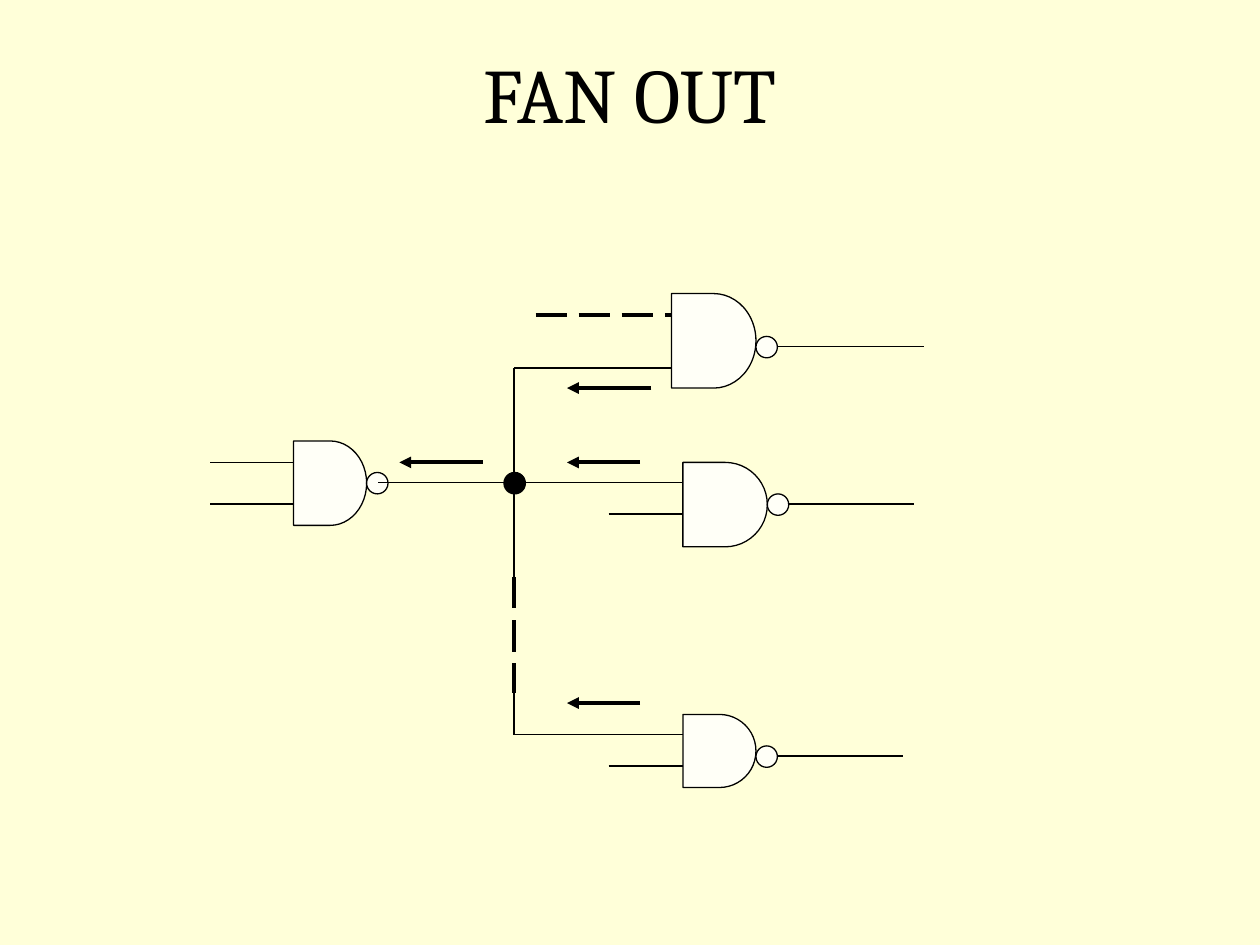
from lxml import etree
from pptx import Presentation
from pptx.dml.color import RGBColor
from pptx.enum import dml, shapes, text
from pptx.oxml import ns
from pptx.util import Inches, Pt

CREAM = RGBColor(0xFF, 0xFF, 0xD9)
IVORY = RGBColor(0xFF, 0xFF, 0xF7)
BLACK = RGBColor(0, 0, 0)
THIN, THICK = 0.75, 2.25
GATE = shapes.MSO_SHAPE.FLOWCHART_DELAY
OVAL = shapes.MSO_SHAPE.OVAL
BALL = 0.17


def write(frame, words, size=44, font="Cambria", color=BLACK):
    frame.word_wrap = True
    frame.vertical_anchor = text.MSO_ANCHOR.MIDDLE
    para = frame.paragraphs[0]
    para.alignment = text.PP_ALIGN.CENTER
    run = para.add_run()
    run.text = words
    run.font.size = Pt(size)
    run.font.name = font
    run.font.color.rgb = color


def wire(x1, y1, x2, y2, width=THIN, dash=False, arrow=False):
    link = slide.shapes.add_connector(
        shapes.MSO_CONNECTOR.STRAIGHT, Inches(x1), Inches(y1), Inches(x2), Inches(y2))
    link.line.color.rgb = BLACK
    link.line.width = Pt(width)
    if dash:
        link.line.dash_style = dml.MSO_LINE.LONG_DASH
    if arrow:
        etree.SubElement(link.line._get_or_add_ln(), ns.qn("a:tailEnd"), type="triangle")
    etree.SubElement(link._element.spPr, ns.qn("a:effectLst"))


deck = Presentation()
deck.slide_width, deck.slide_height = Inches(10), Inches(7.5)
slide = deck.slides.add_slide(deck.slide_layouts[5])
slide.background.fill.solid()
slide.background.fill.fore_color.rgb = CREAM

title = slide.shapes.title
title.left, title.top = Inches(0.5), Inches(0.3)
title.width, title.height = Inches(9), Inches(0.87)
write(title.text_frame, "FAN OUT")

gates = [
    (2.33, 3.5, 0.58, 0.67, 3.75),
    (5.33, 2.33, 0.67, 0.75, 2.67),
    (5.42, 3.67, 0.67, 0.67, 3.92),
    (5.42, 5.67, 0.58, 0.58, 5.92),
]
parts = [(OVAL, 4, 3.75, BALL, BALL, BLACK)]
for x, y, w, h, out in gates:
    parts.append((GATE, x, y, w, h, IVORY))
    parts.append((OVAL, x + w, out, BALL, BALL, IVORY))

for kind, x, y, w, h, color in parts:
    part = slide.shapes.add_shape(kind, Inches(x), Inches(y), Inches(w), Inches(h))
    part.shadow.inherit = False
    part.fill.solid()
    part.fill.fore_color.rgb = color
    part.line.color.rgb = BLACK
    part.line.width = Pt(THIN)

for y in (3.67, 4):
    wire(1.67, y, 2.33, y)
for y in (4.08, 6.08):
    wire(4.83, y, 5.42, y)
for x1, x2, y in ((6.17, 7.33, 2.75), (6.25, 7.25, 4), (6.17, 7.17, 6)):
    wire(x1, y, x2, y)
for x1, x2, y in ((4.08, 5.33, 2.92), (3, 5.42, 3.83), (4.08, 5.42, 5.83)):
    wire(x1, y, x2, y)
for y1, y2 in ((2.92, 4.67), (5.5, 5.83)):
    wire(4.08, y1, 4.08, y2)

wire(4.25, 2.5, 5.33, 2.5, width=THICK, dash=True)
wire(4.08, 4.58, 4.08, 5.5, width=THICK, dash=True)
for x1, x2, y in ((3.83, 3.17, 3.67), (5.17, 4.5, 3.08), (5.08, 4.5, 3.67), (5.08, 4.5, 5.58)):
    wire(x1, y, x2, y, width=THICK, arrow=True)

deck.save("out.pptx")
